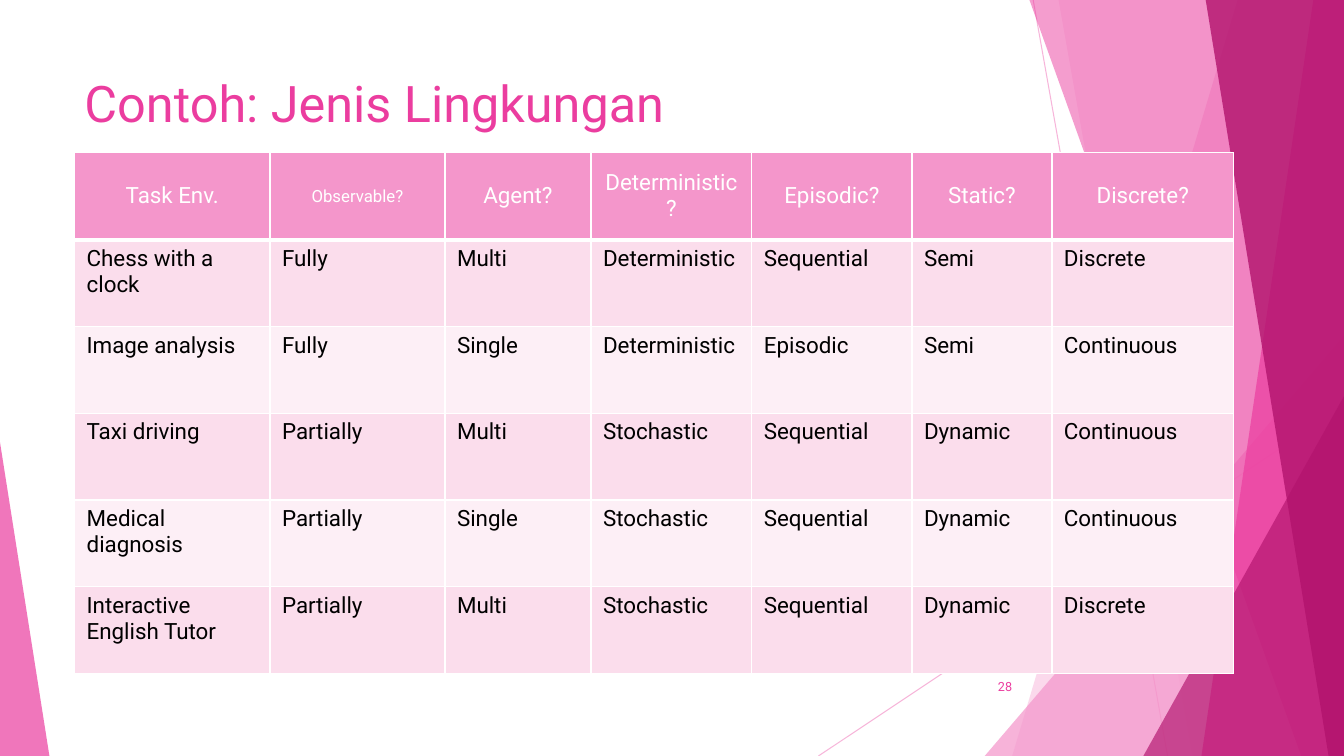
from lxml import etree
from pptx import Presentation
from pptx.dml.color import RGBColor
from pptx.enum.shapes import MSO_CONNECTOR, MSO_SHAPE
from pptx.enum.text import MSO_ANCHOR, PP_ALIGN
from pptx.oxml.ns import qn
from pptx.util import Pt

STRAIGHT = MSO_CONNECTOR.STRAIGHT
TRIANGLE = MSO_SHAPE.ISOSCELES_TRIANGLE
TOP, MIDDLE = MSO_ANCHOR.TOP, MSO_ANCHOR.MIDDLE
LEFT, CENTER, RIGHT = PP_ALIGN.LEFT, PP_ALIGN.CENTER, PP_ALIGN.RIGHT

WIDTH, HEIGHT = 960, 540
FONT = "Roboto"
COLORS = {
    "pink": "F496CB", "rose": "EB3D9F", "wine": "B2136D",
    "odd": "FBDDEC", "even": "FDEFF6", "white": "FFFFFF", "black": "000000",
}

# Each band runs to the right edge: top x, bottom x, colour, opacity
BACK_BANDS = [(884.2, 723, "pink", 36), (756, 851.8, "pink", 20)]
FRONT_BANDS = [
    (735.1, 929.5, "rose", 50),
    (938.2, 858.2, "rose", 70),
    (861.1, 949, "wine", 80),
]

COL_WIDTHS = [139.6, 125, 104.3, 114.9, 114.4, 100, 129.8]
ROW_HEIGHT = 62
ROWS = [
    ["Task Env.", "Observable?", "Agent?", "Deterministic?", "Episodic?",
     "Static?", "Discrete?"],
    ["Chess with a clock", "Fully", "Multi", "Deterministic", "Sequential",
     "Semi", "Discrete"],
    ["Image analysis", "Fully", "Single", "Deterministic", "Episodic",
     "Semi", "Continuous"],
    ["Taxi driving", "Partially", "Multi", "Stochastic", "Sequential",
     "Dynamic", "Continuous"],
    ["Medical diagnosis", "Partially", "Single", "Stochastic", "Sequential",
     "Dynamic", "Continuous"],
    ["Interactive English Tutor", "Partially", "Multi", "Stochastic",
     "Sequential", "Dynamic", "Discrete"],
]


def rgb(name):
    return RGBColor.from_string(COLORS[name])


def fade(fill, opacity):
    color = fill._xPr.find(".//" + qn("a:srgbClr"))
    etree.SubElement(color, qn("a:alpha"), val=str(opacity * 1000))


def paint(shape, color, opacity):
    shape.shadow.inherit = False
    shape.fill.solid()
    shape.fill.fore_color.rgb = rgb(color)
    fade(shape.fill, opacity)
    shape.line.fill.background()


def write(frame, text, size=16, color="black", align=LEFT):
    para = frame.paragraphs[0]
    para.alignment = align
    run = para.add_run()
    run.text = text
    font = run.font
    font.name, font.size, font.bold = FONT, Pt(size), False
    font.color.rgb = rgb(color)


def add_text(slide, text, left, top, width, height, anchor=TOP, **style):
    box = slide.shapes.add_textbox(Pt(left), Pt(top), Pt(width), Pt(height))
    frame = box.text_frame
    frame.word_wrap = True
    frame.vertical_anchor = anchor
    write(frame, text, **style)


def add_line(slide, *ends):
    line = slide.shapes.add_connector(STRAIGHT, *map(Pt, ends))
    line.line.width = Pt(0.75)
    line.line.color.rgb = rgb("pink")
    fade(line.line.fill, 70)
    etree.SubElement(line._element.spPr, qn("a:effectLst"))


def add_band(slide, top_x, base_x, color, opacity):
    outline = slide.shapes.build_freeform(Pt(top_x), Pt(-0.7))
    corners = [(WIDTH, -0.7), (WIDTH, HEIGHT), (base_x, HEIGHT)]
    outline.add_line_segments([(Pt(x), Pt(y)) for x, y in corners])
    paint(outline.convert_to_shape(), color, opacity)


def add_wedge(slide, left, top, width, tip, color, opacity):
    shape = slide.shapes.add_shape(
        TRIANGLE, Pt(left), Pt(top), Pt(width), Pt(HEIGHT - top))
    shape.adjustments[0] = tip
    paint(shape, color, opacity)


def add_borders(cell, base):
    props = cell._tc.get_or_add_tcPr()
    for side, width in (("L", 1), ("R", 1), ("T", 1), ("B", base)):
        line = etree.SubElement(props, qn("a:ln" + side), w=str(Pt(width)))
        fill = etree.SubElement(line, qn("a:solidFill"))
        etree.SubElement(fill, qn("a:srgbClr"), val=COLORS["white"])


def fill_cell(cell, text, fill, base=1, anchor=TOP, **style):
    add_borders(cell, base)
    cell.fill.solid()
    cell.fill.fore_color.rgb = rgb(fill)
    cell.margin_left = cell.margin_right = Pt(8.64)
    cell.margin_top = cell.margin_bottom = Pt(4.32)
    cell.vertical_anchor = anchor
    write(cell.text_frame, text, **style)


def add_grid(slide, left, top):
    grid = slide.shapes.add_table(
        len(ROWS), len(COL_WIDTHS), Pt(left), Pt(top),
        Pt(sum(COL_WIDTHS)), Pt(ROW_HEIGHT * len(ROWS))).table
    for col, width in zip(grid.columns, COL_WIDTHS):
        col.width = Pt(width)
    for r, row in enumerate(ROWS):
        grid.rows[r].height = Pt(ROW_HEIGHT)
        for c, text in enumerate(row):
            cell = grid.cell(r, c)
            if r == 0:
                fill_cell(cell, text, "pink", base=3, anchor=MIDDLE,
                          size=12 if c == 1 else 16, color="white",
                          align=CENTER)
            else:
                fill_cell(cell, text, "odd" if r % 2 else "even")


def main():
    deck = Presentation()
    deck.slide_width, deck.slide_height = Pt(WIDTH), Pt(HEIGHT)
    slide = deck.slides.add_slide(deck.slide_layouts[6])

    # Backdrop of lines, bands and wedges
    add_line(slide, 738, 0, 834, HEIGHT)
    add_line(slide, WIDTH, 290, 584.6, HEIGHT)
    for band in BACK_BANDS:
        add_band(slide, *band)
    add_wedge(slide, 703.4, 240, 256.6, 1, "pink", 72)
    for band in FRONT_BANDS:
        add_band(slide, *band)
    add_wedge(slide, 816.7, 283, 143.3, 1, "wine", 66)
    add_wedge(slide, 0, 316, 35.3, 0, "rose", 70)

    # Title, table and page number
    add_text(slide, "Contoh: Jenis Lingkungan", 53.3, 48, 676.8, 103.7,
             size=36, color="rose")
    add_grid(slide, 53.3, 109.2)
    add_text(slide, "28", 676, 476, 54, 28.8, anchor=MIDDLE,
             size=9, color="rose", align=RIGHT)

    deck.save("out.pptx")


if __name__ == "__main__":
    main()
